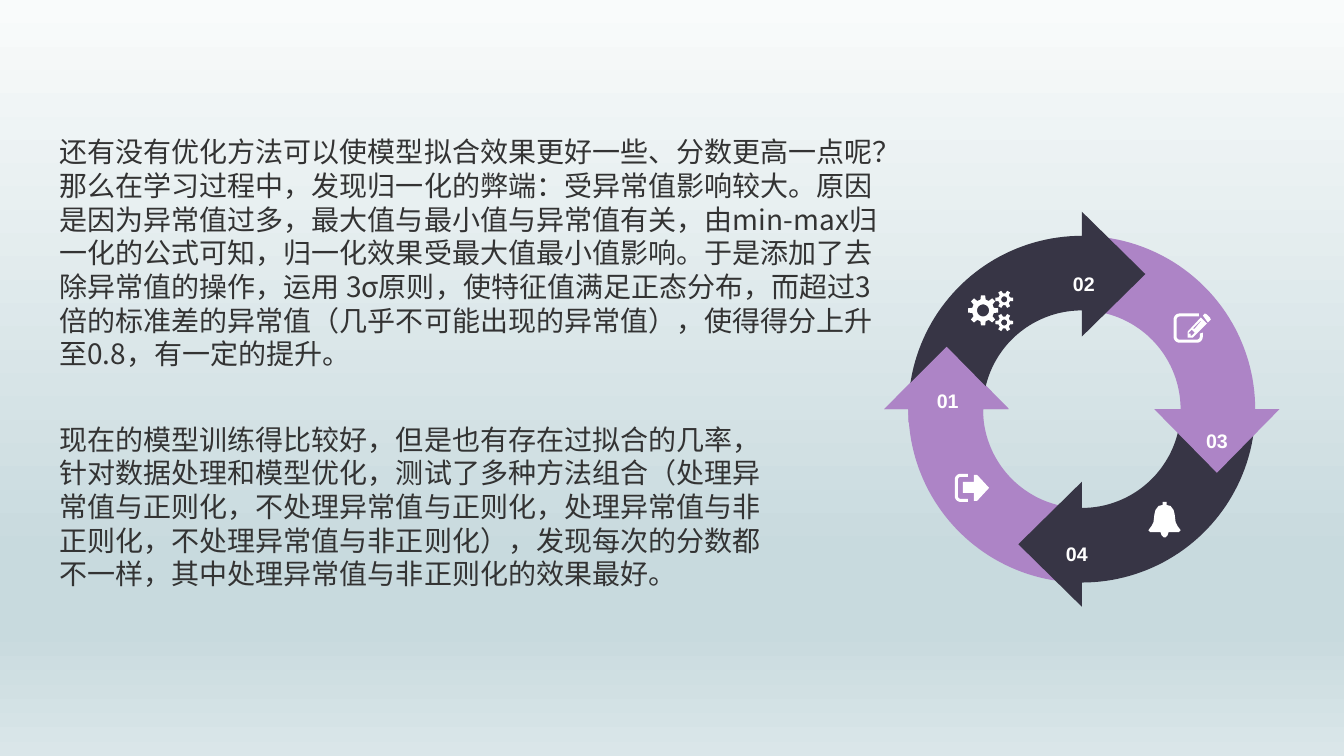
import math
from dataclasses import dataclass

import pptx
import pptx.dml.color
import pptx.enum.text
import pptx.oxml
import pptx.oxml.ns
import pptx.util
from pptx.util import Inches

Point = tuple[float, float]
Contour = list[Point]

COLORS = {"purple": "AD84C6", "dark": "373545", "text": "333333", "white": "FFFFFF"}
BACKGROUND_STOPS = [(0, "F9FBFB"), (74, "C8DADE"), (83, "C8DADE"), (100, "DAE6E9")]
CJK_FONT = "Noto Sans CJK SC"

# Ring geometry in inches
CENTER = (10.73, 4.06)
OUTER, INNER = 1.72, 0.98
HEAD_OUTER, HEAD_INNER, HEAD_LENGTH = 1.96, 0.72, 0.63


@dataclass
class Passage:
    left: float
    top: float
    width: float
    height: float
    font: str
    spacing: int
    text: str


@dataclass
class RingArrow:
    quarter: int
    color: str


@dataclass
class Label:
    left: float
    top: float
    text: str


@dataclass
class Gear:
    center: Point
    radius: float
    root: float
    hole: float
    teeth: int


PASSAGES = [
    Passage(0.49, 1.29, 8.32, 2.46, CJK_FONT, 0,
            "还有没有优化方法可以使模型拟合效果更好一些、分数更高一点呢？那么在学习过程中，"
            "发现归一化的弊端：受异常值影响较大。原因是因为异常值过多，最大值与最小值与异常值有关，"
            "由min-max归一化的公式可知，归一化效果受最大值最小值影响。于是添加了去除异常值的操作，"
            "运用 3σ原则，使特征值满足正态分布，而超过3倍的标准差的异常值（几乎不可能出现的异常值），"
            "使得得分上升至0.8，有一定的提升。"),
    Passage(0.49, 4.14, 7.22, 1.78, "Times New Roman", 18,
            "现在的模型训练得比较好，但是也有存在过拟合的几率，针对数据处理和模型优化，"
            "测试了多种方法组合（处理异常值与正则化，不处理异常值与正则化，处理异常值与非正则化，"
            "不处理异常值与非正则化），发现每次的分数都不一样，其中处理异常值与非正则化的效果最好。"),
]
ARROWS = [RingArrow(1, "purple"), RingArrow(0, "dark"),
          RingArrow(3, "purple"), RingArrow(2, "dark")]
LABELS = [Label(9.29, 3.81, "01"), Label(10.64, 2.65, "02"),
          Label(11.96, 4.21, "03"), Label(10.57, 5.33, "04")]
GEARS = [Gear((9.75, 3.08), 0.15, 0.11, 0.06, 8),
         Gear((9.96, 2.97), 0.09, 0.06, 0.03, 6),
         Gear((9.96, 3.2), 0.09, 0.06, 0.03, 6)]


def polar(center: Point, radius: float, degrees: float) -> Point:
    a = math.radians(degrees)
    return center[0] + radius * math.cos(a), center[1] + radius * math.sin(a)


def arc(center: Point, radius: float, start: float, end: float, steps: int = 8) -> Contour:
    return [polar(center, radius, start + (end - start) * i / steps)
            for i in range(steps + 1)]


def arrow_outline(quarter: int) -> Contour:
    start, end = 90 * quarter, 90 * quarter + 90
    mid_x, mid_y = polar(CENTER, (HEAD_OUTER + HEAD_INNER) / 2, end)
    tip = polar((mid_x, mid_y), HEAD_LENGTH, end + 90)
    return [*arc(CENTER, OUTER, start, end, 45),
            polar(CENTER, HEAD_OUTER, end), tip, polar(CENTER, HEAD_INNER, end),
            *arc(CENTER, INNER, end, start, 45)]


def gear_contours(gear: Gear) -> list[Contour]:
    pitch = 360 / gear.teeth
    profile = [(-0.3, gear.root), (-0.18, gear.radius),
               (0.18, gear.radius), (0.3, gear.root)]
    rim = [polar(gear.center, r, (tooth + offset) * pitch)
           for tooth in range(gear.teeth) for offset, r in profile]
    return [rim, arc(gear.center, gear.hole, 360, 0, 24)]


def bracket(left: float, right: float, top: float, bottom: float) -> tuple[Contour, Contour]:
    """Outer and inner edges of a thin bracket open to the right."""
    upper, lower = (left + 0.06, top + 0.06), (left + 0.06, bottom - 0.06)
    outer = [(right, top), *arc(upper, 0.06, 270, 180), *arc(lower, 0.06, 180, 90)]
    inner = [*arc(lower, 0.03, 90, 180), *arc(upper, 0.03, 180, 270), (right, top + 0.03)]
    return outer, inner


def bell_contours() -> list[Contour]:
    half = [(0.02, 4.98), (0.02, 5.01), (0.06, 5.02), (0.09, 5.06), (0.1, 5.1),
            (0.11, 5.18), (0.13, 5.22), (0.16, 5.26), (0.14, 5.28), (0.04, 5.28),
            (0.03, 5.31), (0.01, 5.33)]
    return [[(11.55 + dx, y) for dx, y in half]
            + [(11.55 - dx, y) for dx, y in reversed(half)]]


def edit_contours() -> list[Contour]:
    outer, inner = bracket(11.64, 11.89, 3.11, 3.4)
    corner = (11.87, 3.34)
    page = [*outer, *arc(corner, 0.06, 90, 0), (11.93, 3.3), (11.9, 3.31),
            *arc(corner, 0.03, 0, 90), *inner]
    pencil = [(11.78, 3.29), (11.91, 3.15), (11.97, 3.21), (11.83, 3.35), (11.78, 3.35)]
    nib = [(11.85, 3.3), (11.82, 3.27), (11.79, 3.3), (11.79, 3.31),
           (11.81, 3.31), (11.81, 3.33), (11.82, 3.33)]
    groove = [(11.91, 3.18), (11.83, 3.26), (11.85, 3.26), (11.91, 3.19)]
    eraser = [(11.93, 3.13), (11.95, 3.11), (11.97, 3.12), (12, 3.15),
              (12.01, 3.17), (11.98, 3.2)]
    return [page, pencil, nib, groove, eraser]


def exit_contours() -> list[Contour]:
    outer, inner = bracket(9.47, 9.6, 4.7, 4.98)
    door = [*outer, (9.6, 4.98), (9.6, 4.95), *inner]
    arrow = [(9.55, 4.78), (9.66, 4.78), (9.66, 4.71), (9.69, 4.71), (9.81, 4.84),
             (9.69, 4.97), (9.66, 4.97), (9.66, 4.89), (9.55, 4.89)]
    return [door, arrow]


def draw_outline(s: pptx.slide.Slide, contours: list[Contour], color: str) -> None:
    builder = None
    for contour in contours:
        points = [(Inches(x), Inches(y)) for x, y in contour]
        if builder is None:
            builder = s.shapes.build_freeform(*points[0], scale=1.0)
        else:
            builder.move_to(*points[0])
        builder.add_line_segments(points[1:], close=True)
    sp = builder.convert_to_shape()
    sp.shadow.inherit = False
    sp.fill.solid()
    sp.fill.fore_color.rgb = pptx.dml.color.RGBColor.from_string(COLORS[color])
    sp.line.fill.background()


def draw_passage(s: pptx.slide.Slide, item: Passage) -> None:
    sp = s.shapes.add_textbox(Inches(item.left), Inches(item.top),
                              Inches(item.width), Inches(item.height))
    tf = sp.text_frame
    tf.word_wrap = True
    p = tf.paragraphs[0]
    p.line_spacing = pptx.util.Pt(24)
    p.space_before = p.space_after = pptx.util.Pt(item.spacing)
    r = p.add_run()
    r.text = item.text
    r.font.size = pptx.util.Pt(20)
    r.font.name = item.font
    r.font.color.rgb = pptx.dml.color.RGBColor.from_string(COLORS["text"])
    # East Asian typeface
    ea = pptx.oxml.parse_xml(
        f'<a:ea {pptx.oxml.ns.nsdecls("a")} typeface="{CJK_FONT}"/>')
    r.font._element.find(pptx.oxml.ns.qn("a:latin")).addnext(ea)


def draw_label(s: pptx.slide.Slide, item: Label) -> None:
    sp = s.shapes.add_textbox(Inches(item.left), Inches(item.top), Inches(0.22), Inches(0.28))
    tf = sp.text_frame
    tf.margin_left = tf.margin_right = tf.margin_top = tf.margin_bottom = 0
    tf.word_wrap = False
    tf.vertical_anchor = pptx.enum.text.MSO_ANCHOR.BOTTOM
    p = tf.paragraphs[0]
    p.text = item.text
    p.alignment = pptx.enum.text.PP_ALIGN.CENTER
    p.line_spacing = 1.2
    p.font.name, p.font.size, p.font.bold = "Arial", pptx.util.Pt(14), True
    p.font.color.rgb = pptx.dml.color.RGBColor.from_string(COLORS["white"])


def draw_background(s: pptx.slide.Slide) -> None:
    fill = s.background.fill
    fill.gradient()
    fill.gradient_angle = 270
    stops = "".join(f'<a:gs pos="{pos * 1000}"><a:srgbClr val="{color}"/></a:gs>'
                    for pos, color in BACKGROUND_STOPS)
    gs_list = s.element.find(".//" + pptx.oxml.ns.qn("a:gsLst"))
    gs_list.getparent().replace(gs_list, pptx.oxml.parse_xml(
        f'<a:gsLst {pptx.oxml.ns.nsdecls("a")}>{stops}</a:gsLst>'))


def main() -> None:
    prs = pptx.Presentation()
    prs.slide_width, prs.slide_height = Inches(13.33), Inches(7.5)
    s = prs.slides.add_slide(prs.slide_layouts[6])
    draw_background(s)
    for passage in PASSAGES:
        draw_passage(s, passage)
    # Ring of arrows, with the first head laid over the last tail
    for arrow in ARROWS:
        draw_outline(s, [arrow_outline(arrow.quarter)], arrow.color)
    draw_outline(s, [[(8.77, 4.06), (9.39, 3.44), (10, 4.06), (9.75, 4.06),
                      (9.75, 4.19), (9.01, 4.19), (9.01, 4.06)]], "purple")
    # Icons
    gears = [contour for gear in GEARS for contour in gear_contours(gear)]
    for icon in (gears, bell_contours(), edit_contours(), exit_contours()):
        draw_outline(s, icon, "white")
    for label in LABELS:
        draw_label(s, label)
    prs.save("out.pptx")


if __name__ == "__main__":
    main()
